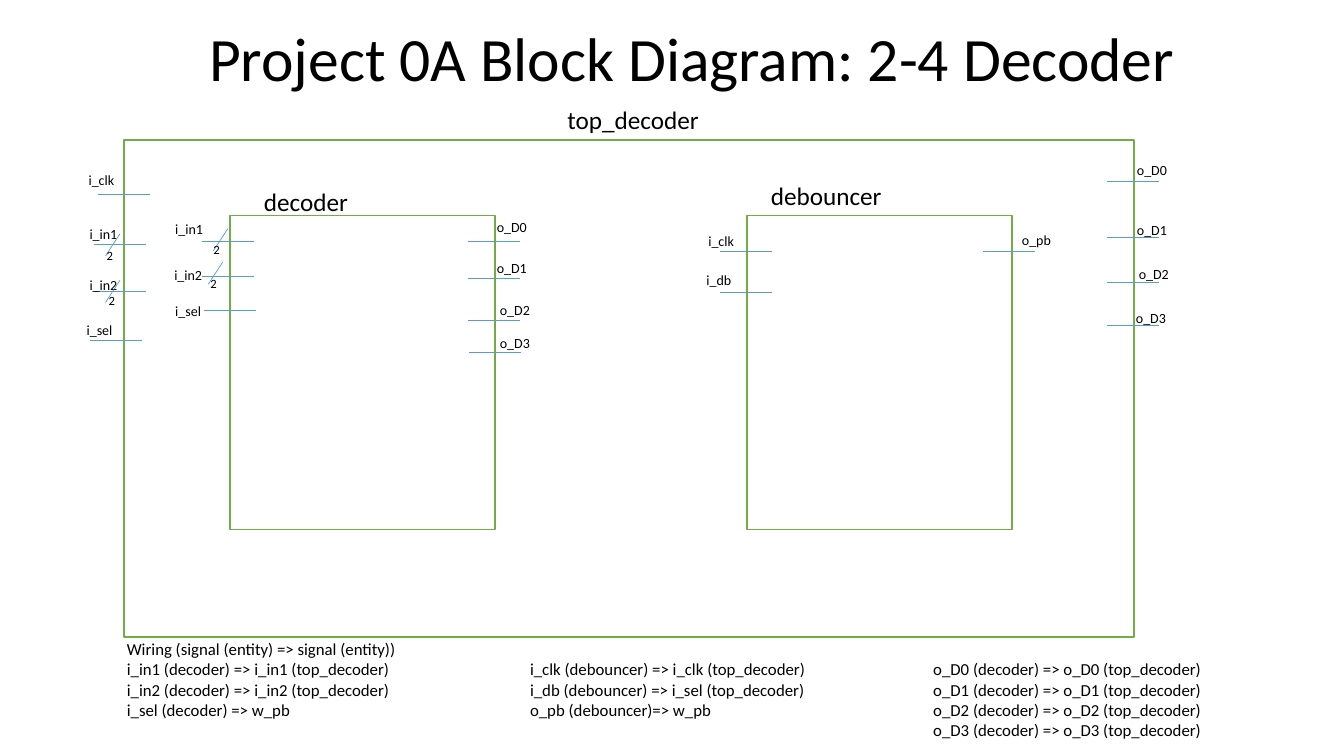
"""Build the block diagram slide for the 2-4 decoder project."""
from pptx import Presentation
from pptx.dml.color import RGBColor
from pptx.enum.shapes import MSO_CONNECTOR as CONN, MSO_SHAPE as SHAPE
from pptx.enum.text import MSO_ANCHOR as ANCHOR, PP_ALIGN as ALIGN
from pptx.oxml.ns import qn
from pptx.util import Pt
from lxml.etree import SubElement

BLACK = RGBColor(0x00, 0x00, 0x00)
WHITE = RGBColor(0xFF, 0xFF, 0xFF)
GREEN = RGBColor(0x70, 0xAD, 0x47)
BLUE = RGBColor(0x5B, 0x9B, 0xD5)
WIRE = 37.5

# Ports: name, wire start (x, y), label (x, y), then for a bus its slash and width mark (x, y, x, y).
DECODER_PORTS = [
    ("i_in1", -20.2, 18, -46.1, 0, (18.7, -8.7, 5, -2.9)),
    ("i_in2", -20.2, 43.2, -46.8, 32.4, (15.1, -10.1, 2.9, -3.6)),
    ("i_sel", -18.8, 67.7, -46.1, 58.3, None),
    ("o_D0", 169.9, 18, 183.6, -1.4, None),
    ("o_D1", 169.9, 44.6, 183.6, 27.4, None),
    ("o_D2", 169.9, 74.9, 185.8, 57.6, None),
    ("o_D3", 170.6, 97.9, 185.8, 81.4, None),
]
DEBOUNCER_PORTS = [
    ("i_clk", -19.4, 25.2, -34.6, 8.6, None),
    ("i_db", -19.4, 54.7, -36, 36, None),
    ("o_pb", 168.5, 25.2, 189.4, 7.9, None),
]
TOP_PORTS = [
    ("i_clk", -18.7, 38.9, -32.4, 18.7, None),
    ("i_in1", -21.6, 74.1, -31.7, 57.6, (18.7, -7.2, 5.7, -0.7)),
    ("i_in2", -21.6, 108, -31.7, 93.6, (18.7, -7.9, 7.2, -2.2)),
    ("i_sel", -24.5, 143.3, -33.8, 126, None),
    ("o_D0", 702, 29.5, 716.4, 11.5, None),
    ("o_D1", 702, 69.8, 716.4, 54.7, None),
    ("o_D2", 702, 101.5, 717.8, 85.7, None),
    ("o_D3", 702, 132.5, 715.7, 117.4, None),
]
WIRING = [
    "Wiring (signal (entity) => signal (entity))",
    "i_in1 (decoder) => i_in1 (top_decoder)\ti_clk (debouncer) => i_clk (top_decoder)"
    "\to_D0 (decoder) => o_D0 (top_decoder)",
    "i_in2 (decoder) => i_in2 (top_decoder)\ti_db (debouncer) => i_sel (top_decoder)"
    "\to_D1 (decoder) => o_D1 (top_decoder)",
    "i_sel (decoder) => w_pb\to_pb (debouncer)=> w_pb\to_D2 (decoder) => o_D2 (top_decoder)",
    "\t\to_D3 (decoder) => o_D3 (top_decoder)",
]


def add_text(s, text, x, y, w, h, size):
    """Add a wrapping text box and return its text frame."""
    tf = s.shapes.add_textbox(Pt(x), Pt(y), Pt(w), Pt(h)).text_frame
    tf.word_wrap = True
    tf.text = text
    for p in tf.paragraphs:
        for r in p.runs:
            r.font.name, r.font.size = "Calibri", Pt(size)
            r.font.color.rgb = BLACK
    return tf


def add_line(s, x1, y1, x2, y2):
    """Add a thin blue line without a shadow."""
    c = s.shapes.add_connector(CONN.STRAIGHT, Pt(x1), Pt(y1), Pt(x2), Pt(y2))
    c.line.color.rgb, c.line.width = BLUE, Pt(0.5)
    SubElement(c._element.spPr, qn("a:effectLst"))


def add_outline(s, box, filled):
    """Add the green outline of an entity."""
    sp = s.shapes.add_shape(SHAPE.RECTANGLE, *map(Pt, box))
    sp.shadow.inherit = False
    sp.line.color.rgb, sp.line.width = GREEN, Pt(1)
    if filled:
        sp.fill.solid()
        sp.fill.fore_color.rgb = WHITE
    else:
        sp.fill.background()


def add_port(s, box, name, wire_x, wire_y, label_x, label_y, bus):
    """Add one port of an entity: its wire, label and bus mark."""
    x, y = box[0] + wire_x, box[1] + wire_y
    add_line(s, x, y, x + WIRE, y)
    add_text(s, name, box[0] + label_x, box[1] + label_y, 40, 19.4, 10)
    if bus:
        slash_x, slash_y, mark_x, mark_y = bus
        add_line(s, x + slash_x, y + slash_y, x + slash_x - 10.3, y + slash_y + 15.8)
        tf = add_text(s, "2", x + mark_x, y + mark_y, 11.5, 18, 9)
        tf.margin_left = tf.margin_right = 0
        tf.paragraphs[0].alignment = ALIGN.CENTER


def add_entity(s, box, name, name_x, name_y, ports, filled=True):
    """Add an entity with its name and ports."""
    add_outline(s, box, filled)
    add_text(s, name, box[0] + name_x, box[1] + name_y, 155, 29, 18)
    for port in ports:
        add_port(s, box, *port)


def add_title(s, box):
    """Add the centred slide title."""
    tf = add_text(s, "Project 0A Block Diagram: 2-4 Decoder", *box, 44)
    tf.vertical_anchor = ANCHOR.BOTTOM
    p = tf.paragraphs[0]
    p.alignment, p.line_spacing = ALIGN.CENTER, 0.9


def add_wiring(s, box):
    """Add the wiring list in three tabbed columns."""
    tf = add_text(s, "\n".join(WIRING), *box, 12)
    for p in tf.paragraphs:
        tabs = SubElement(p._p.get_or_add_pPr(), qn("a:tabLst"))
        for column in (1, 2):
            SubElement(tabs, qn("a:tab"), pos=str(Pt(288 * column)), algn="l")


def main():
    """Build and save the slide."""
    prs = Presentation()
    prs.slide_width, prs.slide_height = Pt(960), Pt(540)
    s = prs.slides.add_slide(prs.slide_layouts[6])
    add_title(s, (134.6, 0, 720, 71.3))
    add_entity(s, (164.2, 154.1, 189.4, 224), "decoder", 17.3, -24.5, DECODER_PORTS)
    add_entity(s, (533.5, 154.1, 189.4, 224), "debouncer", 10.1, -28.8, DEBOUNCER_PORTS)
    add_entity(s, (88.6, 100.1, 721.4, 355), "top_decoder", 309.6, -29.5, TOP_PORTS, False)
    add_wiring(s, (83.5, 452.9, 813, 80))
    prs.save("out.pptx")


main()
